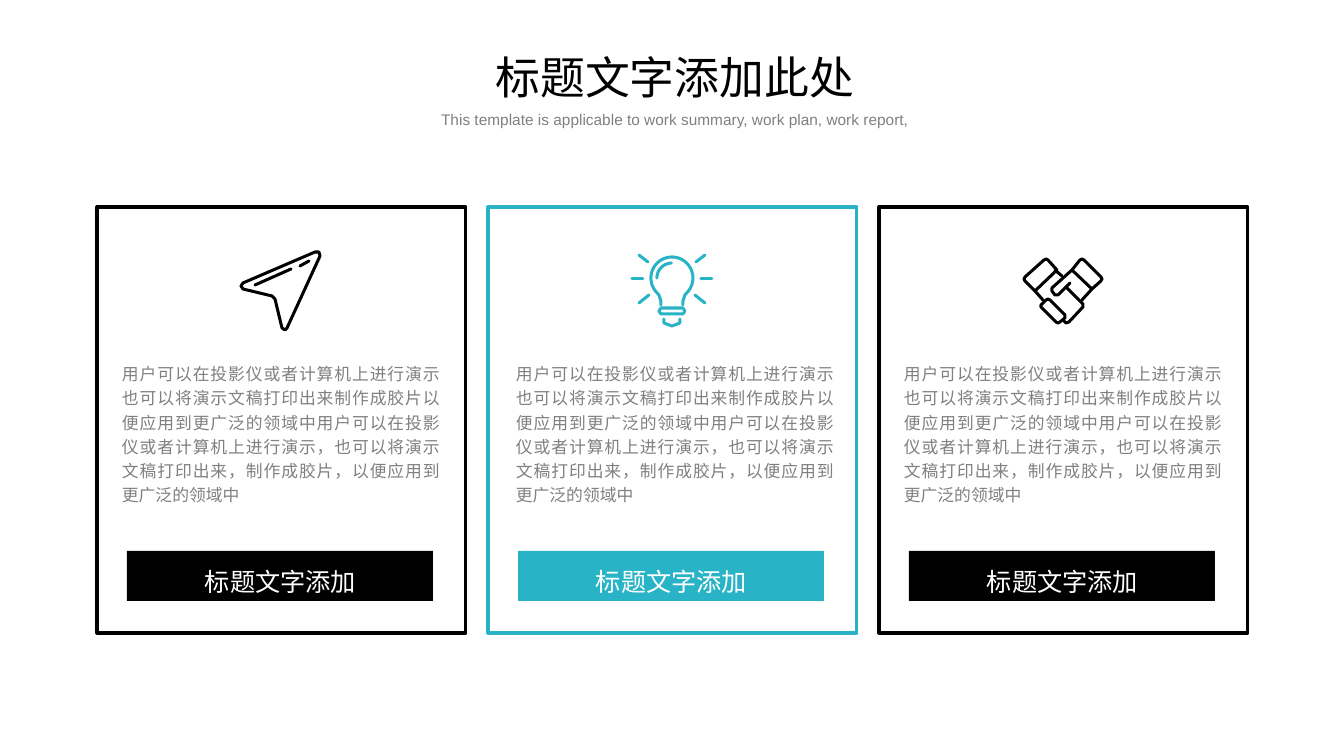
from dataclasses import dataclass
from math import cos, radians, sin

from lxml.etree import SubElement
from pptx import Presentation
from pptx.dml.color import RGBColor
from pptx.enum.shapes import MSO_SHAPE
from pptx.enum.text import MSO_AUTO_SIZE, PP_ALIGN
from pptx.oxml.ns import qn
from pptx.shapes.autoshape import Shape
from pptx.slide import Slide
from pptx.util import Emu, Pt

PX = 914400 / 100.8
COLORS = {"black": "000000", "teal": "28B3C6", "gray": "808080", "white": "FFFFFF"}
BODY = (
    "用户可以在投影仪或者计算机上进行演示也可以将演示文稿打印出来制作成胶片"
    "以便应用到更广泛的领域中用户可以在投影仪或者计算机上进行演示，"
    "也可以将演示文稿打印出来，制作成胶片，以便应用到更广泛的领域中"
)
CARD_LEFT, CARD_TOP, CARD_PITCH = 97, 207, 391
BULB_X, BULB_Y = 184, 71

Point = tuple[float, float]


@dataclass(frozen=True)
class Stroke:
    points: list[Point]
    closed: bool = False


@dataclass(frozen=True)
class Card:
    color: str
    body_left: int
    icon: list[Stroke]


def px(length: float) -> Emu:
    return Emu(round(length * PX))


def rgb(color: str) -> RGBColor:
    return RGBColor.from_string(COLORS[color])


def arc(radius: int, start: int, end: int) -> list[Point]:
    """Points clockwise around the middle of the bulb."""
    return [
        (BULB_X + radius * cos(radians(angle)), BULB_Y + radius * sin(radians(angle)))
        for angle in range(start, end + 1, 4)
    ]


def mirror(points: list[Point]) -> list[Point]:
    return [(2 * BULB_X - x, y) for x, y in points]


# Icon strokes, measured from the corner of the card
PLANE = [
    Stroke([(218, 45), (222, 45), (223, 49), (190, 121), (188, 123), (185, 121),
            (178, 92), (175, 89), (146, 82), (144, 79), (146, 76)], closed=True),
    Stroke([(158, 78), (194, 62)]),
    Stroke([(203, 59), (212, 54)]),
]
NECK = [(173, 98), (173, 94), (171, 88)]
RAYS = [[(208, 55), (217, 48)], [(213, 72), (224, 72)], [(207, 88), (217, 96)]]
BULB = [
    Stroke(NECK + arc(21, 140, 400) + mirror(NECK)[::-1]),
    Stroke(arc(15, 180, 268)),
    Stroke([(173, 101), (195, 101), (197, 104), (195, 107), (173, 107), (171, 104)],
           closed=True),
    Stroke([(176, 112), (176, 116), (184, 119), (192, 116), (192, 112)]),
    *[Stroke(ray) for ray in RAYS],
    *[Stroke(mirror(ray)) for ray in RAYS],
]
HANDSHAKE = [
    # Cuffs
    Stroke([(165, 53), (167, 52), (169, 53), (178, 63), (156, 84), (146, 74),
            (145, 72), (146, 70)], closed=True),
    Stroke([(201, 53), (203, 52), (205, 53), (222, 70), (223, 72), (222, 74),
            (213, 82), (193, 63)], closed=True),
    # Thumb and palms
    Stroke([(176, 63), (183, 69)]),
    Stroke([(193, 63), (173, 81), (173, 84), (176, 88), (179, 88), (191, 76)]),
    Stroke([(188, 81), (204, 97), (204, 100), (190, 115), (187, 116), (185, 114)]),
    Stroke([(213, 82), (203, 93)]),
    Stroke([(156, 84), (164, 93)]),
    # Finger
    Stroke([(167, 93), (169, 92), (171, 93), (186, 108), (186, 111), (181, 115),
            (179, 116), (177, 115), (162, 100), (162, 98)], closed=True),
]

CARDS = [Card("black", 15, PLANE), Card("teal", 18, BULB), Card("black", 15, HANDSHAKE)]


def add_text(page: Slide, text: str, left: int, top: int, width: int, height: int,
             size: int, color: str, align: PP_ALIGN = PP_ALIGN.CENTER,
             spacing: float = 1.2, wrap: bool = True) -> None:
    box = page.shapes.add_textbox(px(left), px(top), px(width), px(height))
    box.text_frame.word_wrap = wrap
    box.text_frame.auto_size = MSO_AUTO_SIZE.SHAPE_TO_FIT_TEXT
    para = box.text_frame.paragraphs[0]
    para.text = text
    para.alignment = align
    para.line_spacing = spacing
    para.font.name = "Arial"
    para.font.size = Pt(size)
    para.font.color.rgb = rgb(color)


def add_rectangle(page: Slide, left: int, top: int, width: int, height: int) -> Shape:
    rectangle = page.shapes.add_shape(
        MSO_SHAPE.RECTANGLE, px(left), px(top), px(width), px(height))
    rectangle.shadow.inherit = False
    return rectangle


def add_icon(page: Slide, strokes: list[Stroke], left: int, top: int, color: str) -> None:
    paths = [[(px(left + x), px(top + y)) for x, y in stroke.points] for stroke in strokes]
    builder = page.shapes.build_freeform(*paths[0][0])
    for number, (stroke, points) in enumerate(zip(strokes, paths)):
        if number:
            builder.move_to(*points[0])
        builder.add_line_segments(points[1:], close=stroke.closed)
    icon = builder.convert_to_shape()
    icon.shadow.inherit = False
    icon.fill.background()
    icon.line.color.rgb = rgb(color)
    icon.line.width = px(3)
    # Round ends and corners
    outline = icon.line._get_or_add_ln()
    outline.set("cap", "rnd")
    SubElement(outline, qn("a:round"))


def add_card(page: Slide, card: Card, left: int, top: int) -> None:
    frame = add_rectangle(page, left, top, 369, 426)
    frame.fill.background()
    frame.line.color.rgb = rgb(card.color)
    frame.line.width = Pt(2.25)

    bar = add_rectangle(page, left + 30, top + 344, 306, 50)
    bar.fill.solid()
    bar.fill.fore_color.rgb = rgb(card.color)
    bar.line.fill.background()

    add_text(page, BODY, left + card.body_left, top + 148, 338, 157, 12, "gray",
             PP_ALIGN.JUSTIFY)
    add_text(page, "标题文字添加", left + 60, top + 348, 247, 44, 18, "white")
    add_icon(page, card.icon, left, top, card.color)


def main() -> None:
    deck = Presentation()
    deck.slide_width, deck.slide_height = px(1344), px(756)
    page = deck.slides.add_slide(deck.slide_layouts[6])

    # Heading
    add_text(page, "标题文字添加此处", 484, 45, 382, 65, 32, "black", spacing=1.0, wrap=False)
    add_text(page, "This template is applicable to work summary, work plan, work report,",
             366, 101, 618, 30, 11, "gray")

    # Cards
    for column, card in enumerate(CARDS):
        add_card(page, card, CARD_LEFT + column * CARD_PITCH, CARD_TOP)

    deck.save("out.pptx")


if __name__ == "__main__":
    main()
